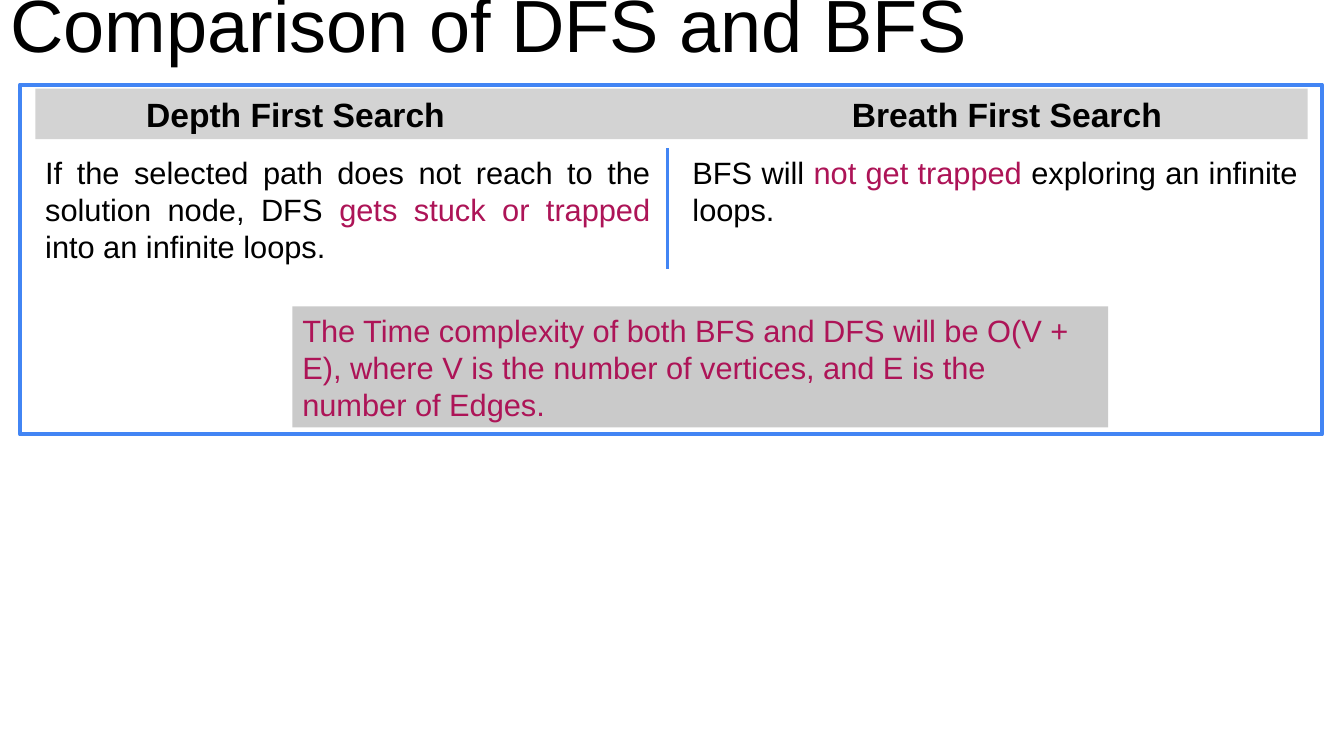
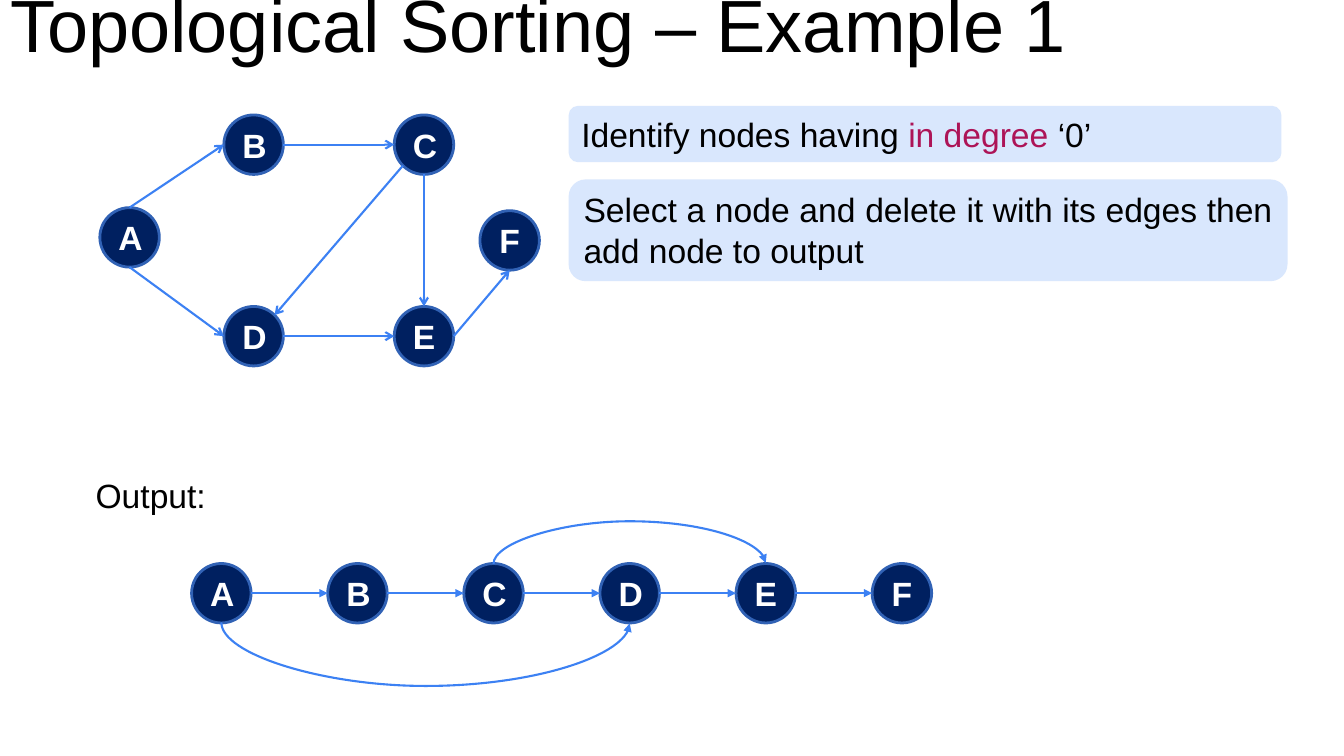
from math import cos, pi, sin

from lxml.etree import SubElement
from pptx import Presentation
from pptx.dml.color import RGBColor
from pptx.enum.shapes import MSO_CONNECTOR, MSO_SHAPE
from pptx.enum.text import MSO_ANCHOR, MSO_AUTO_SIZE, PP_ALIGN
from pptx.oxml.ns import qn
from pptx.util import Inches, Pt

COLORS = {
    "text": "000000",
    "accent": "AD1457",
    "frame": "4285F4",
    "header": "D3D3D3",
    "summary": "CACACA",
    "callout": "D9E7FD",
    "node": "002060",
    "node_edge": "3162B5",
    "arrow": "3C81F3",
    "white": "FFFFFF",
}
FONT = "Arial"
NODE_SIZE = 0.59
CURVE_THICKNESS = 0.01
# Connection sites of an ellipse, counted anticlockwise from the top
SITES = {"top": 0, "left": 2, "bottom_left": 3, "bottom": 4, "right": 6, "top_right": 7}


def color(name):
    return RGBColor.from_string(COLORS[name])


class Deck:
    def __init__(self):
        self.presentation = Presentation()
        self.presentation.slide_width = Inches(13.33)
        self.presentation.slide_height = Inches(7.5)
        self.slide = None

    def add_slide(self, title):
        self.slide = self.presentation.slides.add_slide(self.presentation.slide_layouts[5])
        shape = self.slide.shapes.title
        shape.left, shape.top = Inches(0), Inches(0)
        shape.width, shape.height = Inches(13.33), Inches(0.78)
        frame = shape.text_frame
        frame.margin_top = frame.margin_bottom = Inches(0.1)
        self.fill_text(shape, [(title, "text")], 52.8, anchor=MSO_ANCHOR.BOTTOM)
        frame.paragraphs[0].line_spacing = 0.9

    def fill_text(self, shape, runs, size, bold=False, align=PP_ALIGN.LEFT,
                  anchor=MSO_ANCHOR.TOP, grow=False):
        """Fill the shape with one paragraph of (text, colour name) runs."""
        frame = shape.text_frame
        frame.word_wrap = True
        frame.auto_size = MSO_AUTO_SIZE.SHAPE_TO_FIT_TEXT if grow else MSO_AUTO_SIZE.NONE
        frame.vertical_anchor = anchor
        paragraph = frame.paragraphs[0]
        paragraph.alignment = align
        for text, color_name in runs:
            run = paragraph.add_run()
            run.text = text
            run.font.name = FONT
            run.font.size = Pt(size)
            run.font.bold = bold
            run.font.color.rgb = color(color_name)

    def shape(self, kind, left, top, width, height, fill=None, line=None, line_width=1):
        shape = self.slide.shapes.add_shape(
            kind, Inches(left), Inches(top), Inches(width), Inches(height))
        shape.shadow.inherit = False
        if fill:
            shape.fill.solid()
            shape.fill.fore_color.rgb = color(fill)
        else:
            shape.fill.background()
        if line:
            shape.line.color.rgb = color(line)
            shape.line.width = Pt(line_width)
        else:
            shape.line.fill.background()
        return shape

    def panel(self, kind, left, top, width, height, fill, runs, size, **style):
        shape = self.shape(kind, left, top, width, height, fill)
        self.fill_text(shape, runs, size, grow=True, **style)
        return shape

    def text(self, left, top, width, height, runs, size, **style):
        box = self.slide.shapes.add_textbox(
            Inches(left), Inches(top), Inches(width), Inches(height))
        self.fill_text(box, runs, size, grow=True, **style)

    def tab_stops(self, shape, *positions):
        properties = shape.text_frame.paragraphs[0]._p.get_or_add_pPr()
        stops = SubElement(properties, qn("a:tabLst"))
        for position in positions:
            SubElement(stops, qn("a:tab"), pos=str(Inches(position)), algn="l")

    def node(self, label, left, top):
        shape = self.shape(MSO_SHAPE.OVAL, left, top, NODE_SIZE, NODE_SIZE,
                           "node", "node_edge", 2)
        self.fill_text(shape, [(label, "white")], 24, bold=True,
                       align=PP_ALIGN.CENTER, anchor=MSO_ANCHOR.MIDDLE)
        return shape

    def line(self, start, end, color_name, width, head=None, kind=MSO_CONNECTOR.STRAIGHT):
        points = [Inches(value) for value in (*start, *end)]
        connector = self.slide.shapes.add_connector(kind, *points)
        connector.line.color.rgb = color(color_name)
        connector.line.width = Pt(width)
        properties = connector.element.spPr
        if head:
            SubElement(properties.find(qn("a:ln")), qn("a:tailEnd"), type=head)
        SubElement(properties, qn("a:effectLst"))
        return connector

    def edge(self, source, source_site, target, target_site, head):
        connector = self.line(site_point(source, source_site),
                              site_point(target, target_site), "arrow", 1.5, head)
        join(connector, source, source_site, target, target_site)

    def arc(self, source, target, site, depth):
        """Curve from source to target, leaving and arriving at the same top or bottom site."""
        start_x, y = site_point(source, site)
        end_x, _ = site_point(target, site)
        span = end_x - start_x
        left = (start_x + end_x - CURVE_THICKNESS) / 2
        top = y - span / 2
        connector = self.line((left, top), (left + CURVE_THICKNESS, top + span),
                              "arrow", 1.5, "triangle", MSO_CONNECTOR.CURVE)
        properties = connector.element.spPr
        transform = properties.find(qn("a:xfrm"))
        transform.set("rot", str((90 if site == "top" else 270) * 60000))
        transform.set("flipH", "1")
        if site == "top":
            transform.set("flipV", "1")
        adjustments = properties.find(qn("a:prstGeom")).find(qn("a:avLst"))
        bend = round(depth / CURVE_THICKNESS * 100000)
        SubElement(adjustments, qn("a:gd"), name="adj1", fmla=f"val {bend}")
        join(connector, source, site, target, site)


def site_point(node, site):
    """Place of a connection site on a node, in inches."""
    angle = SITES[site] * pi / 4
    radius = NODE_SIZE / 2
    return (node.left.inches + radius * (1 - sin(angle)),
            node.top.inches + radius * (1 - cos(angle)))


def join(connector, source, source_site, target, target_site):
    """Glue both ends to ellipse sites, which begin_connect cannot address."""
    properties = connector.element.nvCxnSpPr.cNvCxnSpPr
    for tag, node, site in (("a:stCxn", source, source_site),
                            ("a:endCxn", target, target_site)):
        SubElement(properties, qn(tag), id=str(node.shape_id), idx=str(SITES[site]))


def comparison_slide(deck):
    deck.add_slide("Comparison of DFS and BFS")
    deck.shape(MSO_SHAPE.RECTANGLE, 0.2, 0.84, 12.91, 3.47, line="frame", line_width=3)
    header = deck.panel(MSO_SHAPE.RECTANGLE, 0.35, 0.88, 12.62, 0.5, "header",
                        [("\tDepth First Search", "text"), ("\tBreath First Search", "text")],
                        24, bold=True)
    deck.tab_stops(header, 1, 8)
    deck.text(0.35, 1.48, 6.2, 1.21, [
        ("If the selected path does not reach to the solution node, DFS ", "text"),
        ("gets stuck or trapped ", "accent"),
        ("into an infinite loops.", "text"),
    ], 22, align=PP_ALIGN.JUSTIFY)
    deck.text(6.77, 1.48, 6.2, 0.84, [
        ("BFS will ", "text"),
        ("not get trapped ", "accent"),
        ("exploring an infinite loops.", "text"),
    ], 22, align=PP_ALIGN.JUSTIFY)
    deck.line((6.62, 1.47), (6.62, 2.67), "frame", 2.25)
    deck.panel(MSO_SHAPE.RECTANGLE, 2.9, 3.04, 8.09, 1.2, "summary", [
        ("The Time complexity of both BFS and DFS will be O(V + E), where V is the number "
         "of vertices, and E is the number of Edges.", "accent")], 22)


def topological_slide(deck):
    deck.add_slide("Topological Sorting – Example 1")
    places = {"A": (0.99, 2.06), "B": (2.22, 1.14), "C": (3.91, 1.14),
              "D": (2.22, 3.04), "E": (3.91, 3.04), "F": (4.76, 2.09)}
    graph = {label: deck.node(label, *place) for label, place in places.items()}
    for source, source_site, target, target_site in (
            ("A", "top", "B", "left"),
            ("A", "bottom", "D", "left"),
            ("B", "right", "C", "left"),
            ("D", "right", "E", "left"),
            ("C", "bottom", "E", "top"),
            ("C", "bottom_left", "D", "top_right"),
            ("E", "right", "F", "bottom")):
        deck.edge(graph[source], source_site, graph[target], target_site, "arrow")

    deck.panel(MSO_SHAPE.ROUNDED_RECTANGLE, 5.64, 1.05, 7.07, 0.56, "callout", [
        ("Identify nodes having ", "text"),
        ("in degree ", "accent"),
        ("‘0’", "text"),
    ], 24, align=PP_ALIGN.JUSTIFY)
    deck.panel(MSO_SHAPE.ROUNDED_RECTANGLE, 5.64, 1.78, 7.13, 1.01, "callout", [
        ("Select a node and delete it with its edges then add node to output", "text"),
    ], 24, align=PP_ALIGN.JUSTIFY)

    deck.text(0.85, 4.66, 1.35, 0.5, [("Output:", "text")], 24)
    output = [deck.node(label, 1.9 + 1.35 * index, 5.59)
              for index, label in enumerate("ABCDEF")]
    for source, target in zip(output, output[1:]):
        deck.edge(source, "right", target, "left", "triangle")
    deck.arc(output[0], output[3], "bottom", 0.64)
    deck.arc(output[2], output[4], "top", 0.43)


def main():
    deck = Deck()
    comparison_slide(deck)
    topological_slide(deck)
    deck.presentation.save("out.pptx")


if __name__ == "__main__":
    main()
